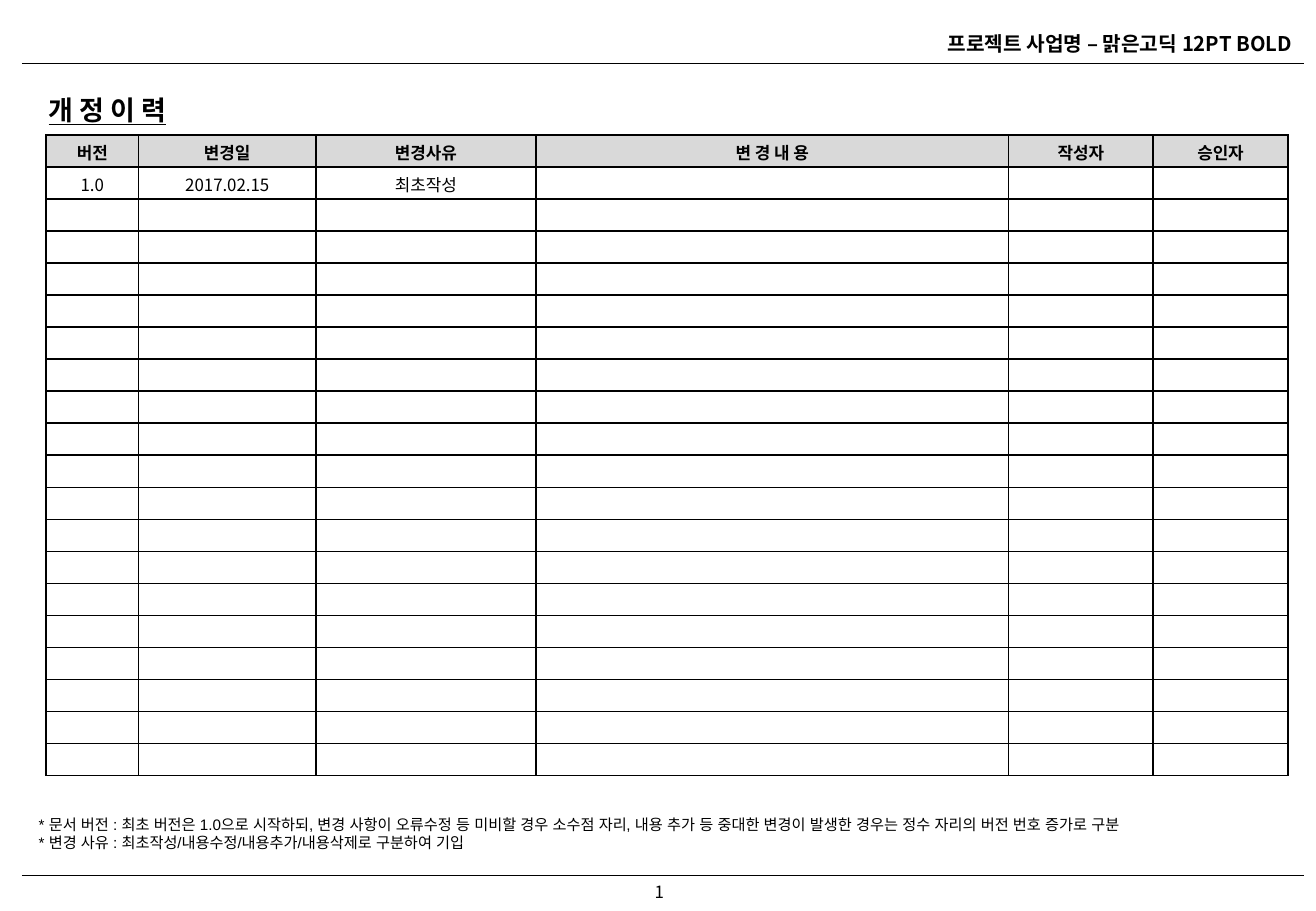
from dataclasses import dataclass

from lxml.etree import SubElement
from pptx import Presentation
from pptx.dml.color import RGBColor
from pptx.enum.shapes import MSO_CONNECTOR
from pptx.enum.text import MSO_ANCHOR as ANCHOR, MSO_AUTO_SIZE as AUTO, PP_ALIGN as ALIGN
from pptx.oxml.ns import qn
from pptx.util import Inches, Pt


@dataclass(frozen=True)
class Theme:
    ink: RGBColor = RGBColor(0, 0, 0)
    paper: RGBColor = RGBColor(255, 255, 255)
    header_fill: RGBColor = RGBColor(0xD9, 0xD9, 0xD9)
    font: str = "Noto Sans CJK KR"
    note_font: str = "Arial"
    title_size: int = 16
    project_size: int = 12
    body_size: int = 10
    note_size: int = 9
    rule_width: float = 0.75
    border_width: float = 1


THEME = Theme()

COLUMNS = [("버전", 0.76), ("변경일", 1.46), ("변경사유", 1.81),
           ("변 경 내 용", 3.89), ("작성자", 1.19), ("승인자", 1.11)]
FIRST_REVISION = ["1.0", "2017.02.15", "최초작성"]
ROW_COUNT = 20
TABLE_HEIGHT = 5.28
NOTES = [
    "* 문서 버전 : 최초 버전은 1.0으로 시작하되, 변경 사항이 오류수정 등 미비할 경우 소수점 자리, "
    "내용 추가 등 중대한 변경이 발생한 경우는 정수 자리의 버전 번호 증가로 구분",
    "* 변경 사유 : 최초작성/내용수정/내용추가/내용삭제로 구분하여 기입",
]


def add_run(p, text, size, bold=False, font=THEME.font):
    r = p.add_run()
    r.text = text
    r.font.size = Pt(size)
    r.font.bold = bold
    r.font.name = font
    r.font.color.rgb = THEME.ink
    SubElement(r.font._element, qn("a:ea"), typeface=font)
    return r


def add_text(slide, box, lines, size, align=ALIGN.LEFT, anchor=ANCHOR.TOP, **style):
    """Add a text box with one paragraph a line and return its runs."""
    tf = slide.shapes.add_textbox(*map(Inches, box)).text_frame
    tf.word_wrap = True
    tf.vertical_anchor = anchor
    runs = []
    for i, line in enumerate(lines):
        p = tf.add_paragraph() if i else tf.paragraphs[0]
        p.alignment = align
        runs.append(add_run(p, line, size, **style))
    return runs


def add_rule(slide, y):
    sp = slide.shapes.add_connector(MSO_CONNECTOR.STRAIGHT, Inches(0.18), Inches(y),
                                    Inches(10.73), Inches(y))
    sp.line.color.rgb = THEME.ink
    sp.line.width = Pt(THEME.rule_width)
    SubElement(sp._element.spPr, qn("a:effectLst"))


def add_page_number(slide):
    run, = add_text(slide, (4.16, 7.21, 2.53, 0.27), ["1"], THEME.body_size,
                    ALIGN.CENTER, ANCHOR.MIDDLE)
    field = run._r
    field.tag = qn("a:fld")
    field.set("id", "{B6F15528-21DE-4FAA-801E-634DDDAF4B2B}")
    field.set("type", "slidenum")


def set_title(slide, text):
    title = slide.shapes.title
    title.left, title.top, title.width, title.height = map(Inches, (0.3, 0.72, 1.34, 0.37))
    tf = title.text_frame
    tf.word_wrap = False
    tf.auto_size = AUTO.SHAPE_TO_FIT_TEXT
    tf.vertical_anchor = ANCHOR.MIDDLE
    p = tf.paragraphs[0]
    p.alignment = ALIGN.LEFT
    add_run(p, text, THEME.title_size, bold=True).font.underline = True


def set_borders(cell):
    tc_pr = cell._tc.get_or_add_tcPr()
    for i, side in enumerate(("lnL", "lnR", "lnT", "lnB")):
        ln = SubElement(tc_pr, qn(f"a:{side}"), w=str(Pt(THEME.border_width)))
        fill = SubElement(ln, qn("a:solidFill"))
        SubElement(fill, qn("a:srgbClr"), val=str(THEME.ink))
        tc_pr.insert(i, ln)


def format_cell(cell, text, header):
    cell.margin_left = cell.margin_right = Inches(0.04)
    cell.margin_top = cell.margin_bottom = 0
    cell.vertical_anchor = ANCHOR.MIDDLE
    set_borders(cell)
    cell.fill.solid()
    cell.fill.fore_color.rgb = THEME.header_fill if header else THEME.paper
    p = cell.text_frame.paragraphs[0]
    p.alignment = ALIGN.CENTER
    p.line_spacing = 1.15
    if text:
        add_run(p, text, THEME.body_size, bold=header)
    else:
        # Keeps an empty row from growing to the default type size
        SubElement(p._p, qn("a:endParaRPr"), sz=str(THEME.body_size * 100))


def add_revision_table(slide):
    names, widths = zip(*COLUMNS)
    frame = slide.shapes.add_table(ROW_COUNT, len(COLUMNS), Inches(0.38), Inches(1.11),
                                   Inches(sum(widths)), Inches(TABLE_HEIGHT))
    table = frame.table
    table.horz_banding = False
    for column, width in zip(table.columns, widths):
        column.width = Inches(width)
    content = dict(enumerate([names, FIRST_REVISION]))
    for i, row in enumerate(table.rows):
        row.height = Inches(TABLE_HEIGHT / ROW_COUNT)
        texts = content.get(i, [])
        for j, cell in enumerate(row.cells):
            format_cell(cell, texts[j] if j < len(texts) else "", header=i == 0)


def main():
    prs = Presentation()
    prs.slide_width, prs.slide_height = Inches(10.83), Inches(7.5)
    slide = prs.slides.add_slide(prs.slide_layouts[5])

    add_page_number(slide)
    for y in (7.21, 0.52):
        add_rule(slide, y)
    add_text(slide, (5.61, 0.21, 5.12, 0.3), ["프로젝트 사업명 – 맑은고딕 12PT BOLD"],
             THEME.project_size, ALIGN.RIGHT, bold=True)
    set_title(slide, "개 정 이 력")
    add_revision_table(slide)
    add_text(slide, (0.22, 6.66, 10.16, 0.4), NOTES, THEME.note_size, font=THEME.note_font)

    prs.save("out.pptx")


if __name__ == "__main__":
    main()
